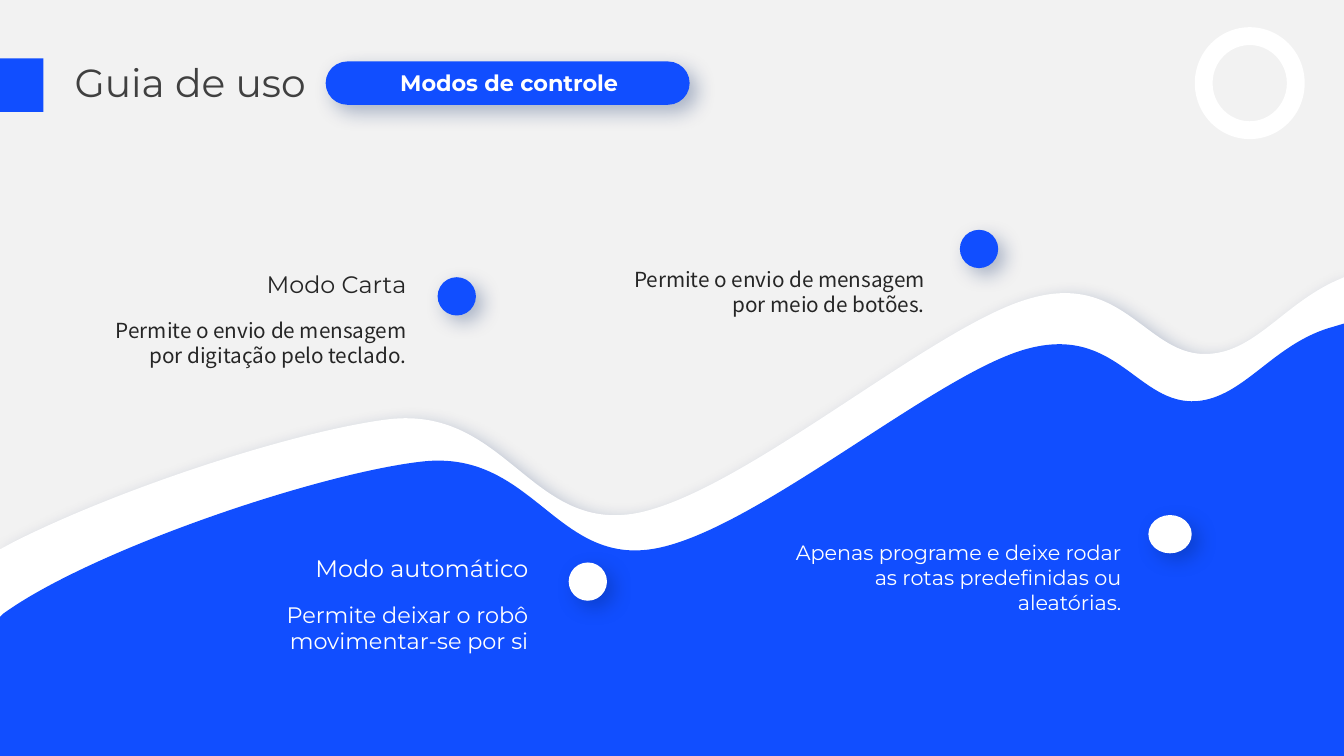
import pptx
import pptx.dml.color
import pptx.enum.shapes
import pptx.enum.text
import pptx.oxml
import pptx.oxml.ns
import pptx.util

Inches = pptx.util.Inches
Pt = pptx.util.Pt
SHAPE = pptx.enum.shapes.MSO_SHAPE
ALIGN = pptx.enum.text.PP_ALIGN
ANCHOR = pptx.enum.text.MSO_ANCHOR

COLORS = {"ground": "F2F2F2", "blue": "114EFF", "white": "FFFFFF",
          "title": "404040", "ink": "262626", "shadow": "002060"}
SANS = "Montserrat"
NOTO = "Noto Sans CJK SC"
WIDTH, HEIGHT = 13.33, 7.5
UNITS = 1000

WHITE_WAVE = {
    "left": [(0, 5.45), (0.15, 5.37)],
    "curves": [[(1.27, 4.81), (2.97, 4.27), (3.85, 4.16)],
               [(5.02, 4.02), (5.26, 5.29), (6.32, 5.09)],
               [(7.38, 4.88), (9.27, 3.22), (10.22, 2.96)],
               [(11.16, 2.69), (11.38, 3.56), (12, 3.51)],
               [(12.47, 3.48), (12.76, 2.98), (13.31, 2.76)]],
    "right": 2.75,
}
BLUE_WAVE = {
    "left": [(0, 6.12), (0.03, 6.09)],
    "curves": [[(0.9, 5.46), (3.14, 4.7), (4.18, 4.58)],
               [(5.29, 4.45), (5.51, 5.63), (6.51, 5.44)],
               [(7.51, 5.25), (9.29, 3.7), (10.19, 3.46)],
               [(11.08, 3.22), (11.28, 4.02), (11.87, 3.98)],
               [(12.35, 3.94), (12.63, 3.4), (13.23, 3.24)]],
    "right": 3.21,
}

MODES = [
    {"box": (0.97, 3.1, 3.16, 0.63), "dot": (4.34, 2.75, 0.38, 0.38),
     "heading": "Modo Carta", "font": NOTO, "size": 14.8, "color": "ink", "fill": "blue",
     "text": "Permite o envio de mensagem por digitação pelo teclado."},
    {"box": (6.11, 2.59, 3.16, 0.63), "dot": (9.52, 2.28, 0.38, 0.38),
     "heading": None, "font": NOTO, "size": 14.8, "color": "ink", "fill": "blue",
     "text": "Permite o envio de mensagem por meio de botões."},
    {"box": (2.18, 5.91, 3.16, 0.63), "dot": (5.64, 5.58, 0.38, 0.38),
     "heading": "Modo automático", "font": SANS, "size": 16, "color": "white", "fill": "white",
     "text": "Permite deixar o robô movimentar-se por si"},
    {"box": (7.69, 5.31, 3.53, 0.63), "dot": (11.39, 5.11, 0.43, 0.38),
     "heading": None, "font": SANS, "size": 14.8, "color": "white", "fill": "white",
     "text": "Apenas programe e deixe rodar as rotas predefinidas ou aleatórias."},
]


def rgb(name):
    return pptx.dml.color.RGBColor.from_string(COLORS[name])


def apply_format(target, values):
    for name, value in values.items():
        setattr(target, name, value)


def paint(shape, color, shadow=False):
    shape.fill.solid()
    shape.fill.fore_color.rgb = rgb(color)
    shape.line.fill.background()
    shape.shadow.inherit = False
    if shadow:
        effects = shape._element.spPr.find(pptx.oxml.ns.qn("a:effectLst"))
        effects.append(pptx.oxml.parse_xml(
            f'<a:outerShdw {pptx.oxml.ns.nsdecls("a")} blurRad="{Pt(14)}" dist="{Pt(7)}" '
            f'dir="{45 * 60000}" algn="tl" rotWithShape="0">'
            f'<a:srgbClr val="{COLORS["shadow"]}"><a:alpha val="30000"/></a:srgbClr>'
            '</a:outerShdw>'))


def add_figure(shapes, kind, box, color, shadow=False, adjustment=None):
    figure = shapes.add_shape(kind, *map(Inches, box))
    if adjustment is not None:
        figure.adjustments[0] = adjustment
    paint(figure, color, shadow)


def write(shape, text, font, align=ALIGN.LEFT, wrap=False, spacing=None):
    frame = shape.text_frame
    apply_format(frame, {"word_wrap": wrap, "vertical_anchor": ANCHOR.TOP,
                         "auto_size": pptx.enum.text.MSO_AUTO_SIZE.NONE})
    para = frame.paragraphs[0]
    apply_format(para, {"alignment": align, "line_spacing": spacing})
    span = para.add_run()
    span.text = text
    apply_format(span.font, {"name": font["name"], "size": Pt(font["size"]),
                             "bold": font.get("bold", False)})
    span.font.color.rgb = rgb(font["color"])


def add_text(shapes, box, *args, **options):
    write(shapes.add_textbox(*map(Inches, box)), *args, **options)


def bend(line, curve, top):
    points = "".join(f'<a:pt x="{round(x * UNITS)}" y="{round((y - top) * UNITS)}"/>'
                     for x, y in curve)
    line.getparent().replace(line, pptx.oxml.parse_xml(
        f'<a:cubicBezTo {pptx.oxml.ns.nsdecls("a")}>{points}</a:cubicBezTo>'))


def add_wave(page, wave, color, shadow=False):
    curves, top = wave["curves"], wave["right"]
    corners = [(WIDTH, top), (WIDTH, HEIGHT), (0, HEIGHT), *wave["left"]]
    knots = corners + [curve[-1] for curve in curves]
    units = [(round(x * UNITS), round(y * UNITS)) for x, y in knots]
    builder = page.shapes.build_freeform(*units[0], scale=Inches(1) / UNITS)
    builder.add_line_segments(units[1:], close=True)
    shape = builder.convert_to_shape()
    lines = list(shape._element.spPr.iter(pptx.oxml.ns.qn("a:lnTo")))
    for line, curve in zip(lines[len(corners) - 1:], curves):
        bend(line, curve, top)
    paint(shape, color, shadow)


def add_header(page, left, top):
    title = page.shapes.title
    apply_format(title, {"left": Inches(left + 0.64), "top": Inches(top),
                         "width": Inches(2.83), "height": Inches(0.57)})
    write(title, "Guia de uso", {"name": SANS, "size": 28, "color": "title"})
    add_figure(page.shapes, SHAPE.RECTANGLE, (left, top + 0.05, 0.43, 0.53), "blue")
    add_figure(page.shapes, SHAPE.DONUT, (left + 11.85, top - 0.26, 1.09, 1.11), "white",
               adjustment=0.162)
    add_figure(page.shapes, SHAPE.ROUNDED_RECTANGLE, (left + 3.23, top + 0.08, 3.61, 0.43),
               "blue", shadow=True, adjustment=0.5)
    add_text(page.shapes, (left + 3.44, top + 0.11, 3.22, 0.4), "Modos de controle",
             {"name": SANS, "size": 16, "color": "white", "bold": True}, ALIGN.CENTER)


def add_mode(page, mode):
    shapes = page.shapes.add_group_shape().shapes
    left, top, width, height = mode["box"]
    if mode["heading"]:
        add_text(shapes, (left + width - 1.18, top - 0.47, 1.18, 0.39), mode["heading"],
                 {"name": SANS, "size": 17, "color": mode["color"]}, ALIGN.RIGHT)
    add_text(shapes, mode["box"], mode["text"],
             {"name": mode["font"], "size": mode["size"], "color": mode["color"]},
             ALIGN.RIGHT, wrap=True, spacing=Pt(18) if mode["font"] == NOTO else None)
    add_figure(shapes, SHAPE.OVAL, mode["dot"], mode["fill"], shadow=True)


def main():
    deck = pptx.Presentation()
    apply_format(deck, {"slide_width": Inches(WIDTH), "slide_height": Inches(HEIGHT)})
    page = deck.slides.add_slide(deck.slide_layouts.get_by_name("Title Only"))
    page.background.fill.solid()
    page.background.fill.fore_color.rgb = rgb("ground")
    add_wave(page, WHITE_WAVE, "white", shadow=True)
    add_wave(page, BLUE_WAVE, "blue")
    add_header(page, 0, 0.53)
    for mode in MODES:
        add_mode(page, mode)
    deck.save("out.pptx")


if __name__ == "__main__":
    main()
